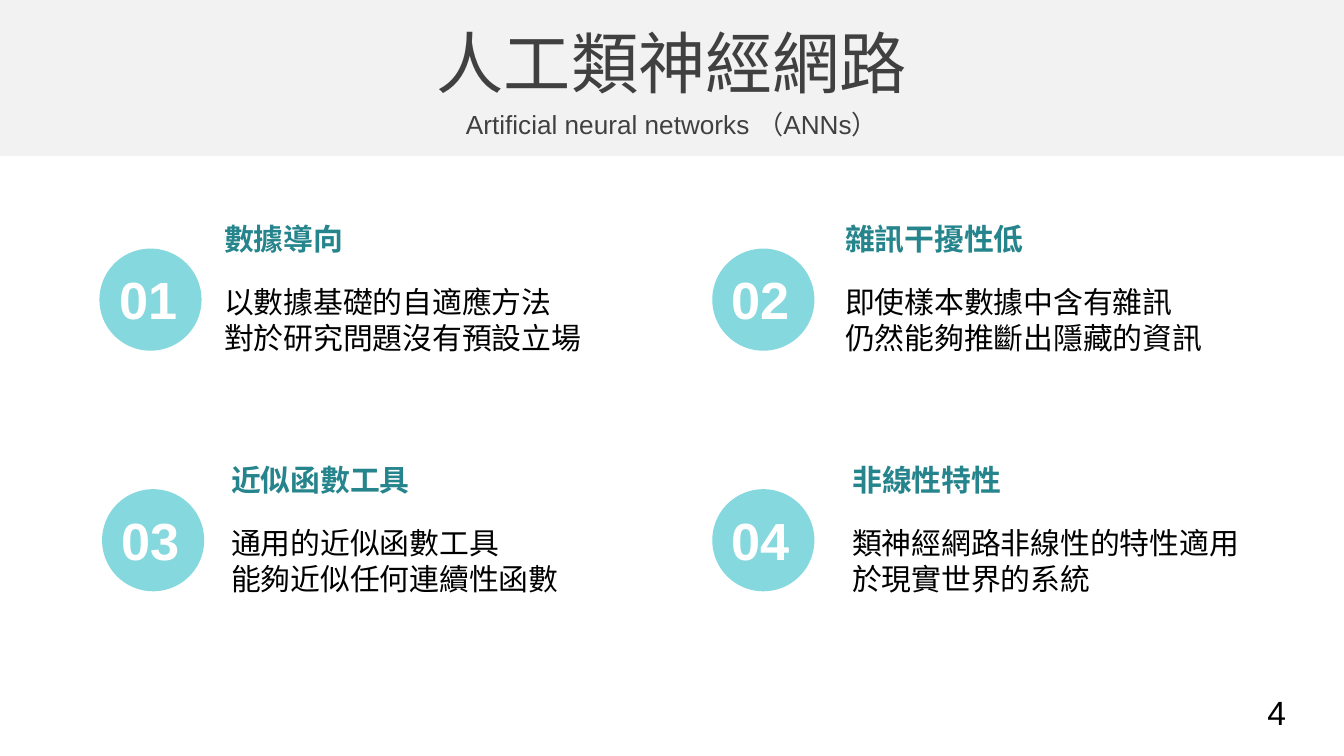
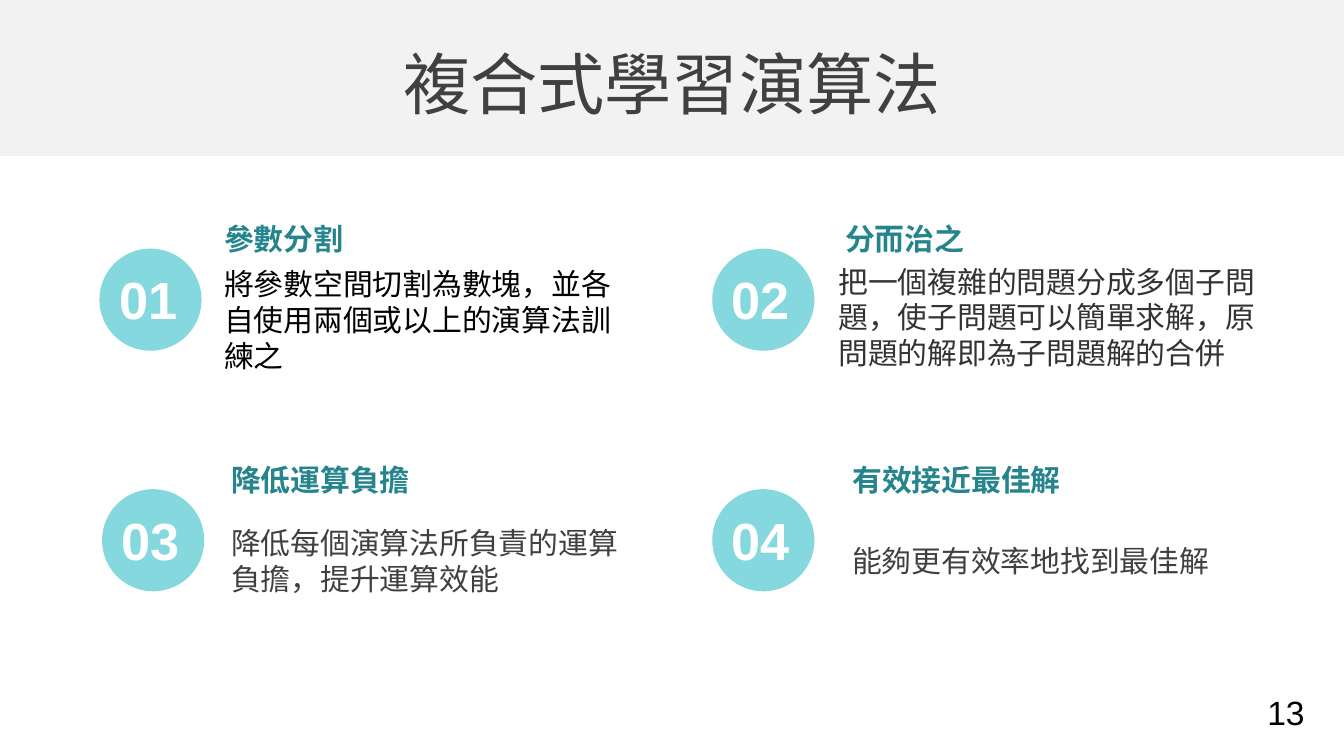
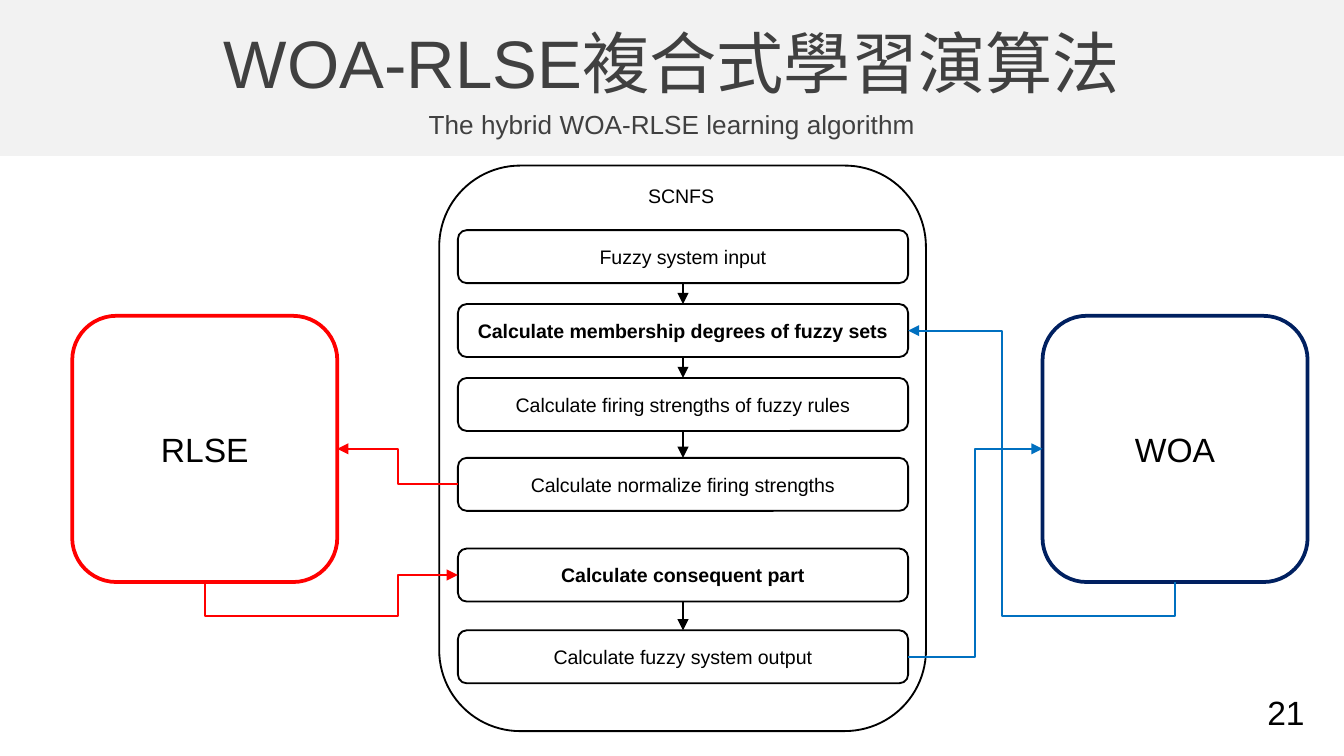
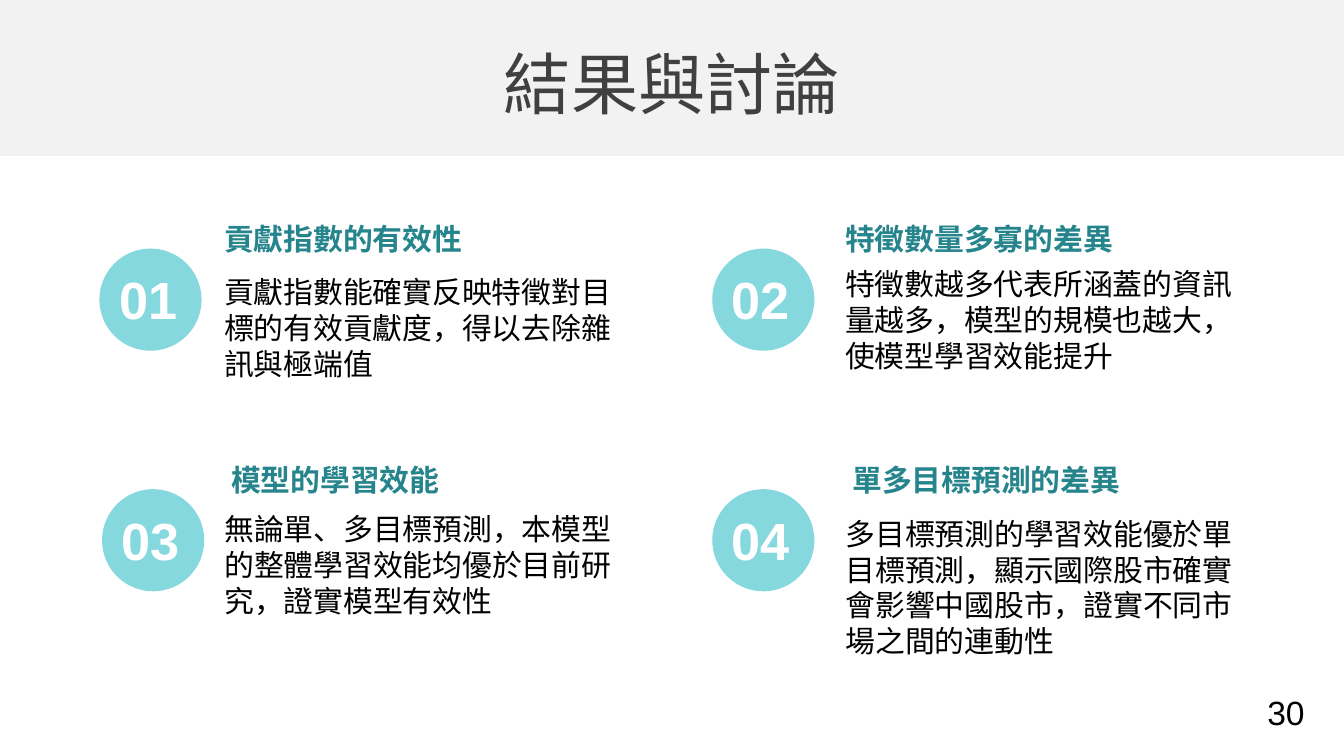
from dataclasses import dataclass

from lxml.etree import SubElement
from pptx import Presentation
from pptx.dml.color import RGBColor
from pptx.enum.shapes import MSO_CONNECTOR, MSO_SHAPE
from pptx.enum.text import MSO_ANCHOR, MSO_AUTO_SIZE, PP_ALIGN
from pptx.oxml.ns import qn
from pptx.util import Pt

SLIDE_WIDTH, SLIDE_HEIGHT = 720, 405
BAND_HEIGHT = 83.5
LATIN_FONT, CJK_FONT = "Arial", "Noto Sans CJK SC"
BLACK, WHITE, GRAY, DARK_GRAY = "000000", "FFFFFF", "404040", "333333"
BAND_GRAY, AQUA, TEAL = "F2F2F2", "85D8DE", "26858C"
RED, NAVY, BLUE = "FF0000", "002060", "0070C0"

CIRCLE_SIZE = 54.7
# Left and top of each circle, then the left edge of its text
ITEM_PLACES = [(53.3, 133.2, 113), (381.6, 133.2, 445.7),
               (54.7, 262.1, 116.8), (381.6, 262.1, 449.5)]
TOP, LEFT, BOTTOM, RIGHT = range(4)  # connection sites of a box


@dataclass
class Item:
    heading: str
    body: str
    lines: int = 2
    color: str = BLACK
    shift_x: float = 0
    shift_y: float = 0
    width: float = 230.4


def color_of(hex_string):
    return RGBColor.from_string(hex_string)


def set_format(target, values):
    for name, value in values.items():
        setattr(target, name, value)


def style_font(font, text, size, color, bold):
    is_cjk = text[:1] >= "\u2e80"
    set_format(font, {"name": CJK_FONT if is_cjk else LATIN_FONT,
                      "size": Pt(size), "bold": bold})
    font.color.rgb = color_of(color)
    SubElement(font._rPr, qn("a:ea"), typeface=CJK_FONT)


def write_text(shape, text, size, color=BLACK, bold=False, align=PP_ALIGN.LEFT,
               second_run="", **frame_format):
    frame = shape.text_frame
    frame.text = text
    set_format(frame, {"word_wrap": True, "vertical_anchor": MSO_ANCHOR.MIDDLE,
                       **frame_format})
    if second_run:
        frame.paragraphs[0].add_run().text = second_run
    for paragraph in frame.paragraphs:
        paragraph.alignment = align
        style_font(paragraph.font, paragraph.text, size, color, bold)
        for run in paragraph.runs:
            style_font(run.font, run.text, size, color, bold)


def add_text(shapes, box, text, size, **text_format):
    write_text(shapes.add_textbox(*map(Pt, box)), text, size, **text_format)


def add_box(slide, kind, box, fill=None, line=None, line_width=1):
    shape = slide.shapes.add_shape(kind, *map(Pt, box))
    shape.shadow.inherit = False
    if fill:
        shape.fill.solid()
        shape.fill.fore_color.rgb = color_of(fill)
    else:
        shape.fill.background()
    if line:
        shape.line.color.rgb = color_of(line)
        shape.line.width = Pt(line_width)
    else:
        shape.line.fill.background()
    return shape


def add_arrow(slide, kind, start, start_site, end, end_site, color=BLACK):
    arrow = slide.shapes.add_connector(kind, 0, 0, 0, 0)
    arrow.begin_connect(start, start_site)
    arrow.end_connect(end, end_site)
    arrow.line.color.rgb = color_of(color)
    arrow.line.width = Pt(1)
    properties = arrow._element.spPr
    SubElement(properties.find(qn("a:ln")), qn("a:tailEnd"), type="triangle")
    SubElement(properties, qn("a:effectLst"))
    return arrow


def route_below(arrow, drop, lane):
    """Lead the arrow down by drop, along to x = lane, up, and into its end."""
    begin_x, begin_y = arrow.begin_x, arrow.begin_y
    end_x, end_y = arrow.end_x, arrow.end_y
    rise, run = begin_y - end_y, abs(end_x - begin_x)
    set_format(arrow, {"left": (begin_x + end_x - rise) // 2,
                       "top": (begin_y + end_y - run) // 2,
                       "width": rise, "height": run})
    properties = arrow._element.spPr
    frame = properties.find(qn("a:xfrm"))
    frame.set("rot", str(90 * 60000))
    frame.set("flipH", "1")
    frame.set("flipV", "1" if end_x > begin_x else "0")
    geometry = properties.find(qn("a:prstGeom"))
    geometry.set("prst", "bentConnector4")
    guides = geometry.find(qn("a:avLst"))
    ratios = [-Pt(drop) / rise, abs(Pt(lane) - begin_x) / run]
    for number, ratio in enumerate(ratios, 1):
        SubElement(guides, qn("a:gd"), name=f"adj{number}",
                   fmla=f"val {round(ratio * 100000)}")


def start_slide(presentation, number, title, subtitle="", title_end=""):
    """Add a slide with its page number, title band, title and subtitle."""
    slide = presentation.slides.add_slide(presentation.slide_layouts[6])
    add_text(slide.shapes, (671.8, 367.2, 36.7, 28.8), number, 18,
             word_wrap=False, vertical_anchor=MSO_ANCHOR.TOP)
    add_box(slide, MSO_SHAPE.RECTANGLE, (0, 0, SLIDE_WIDTH, BAND_HEIGHT), BAND_GRAY)
    centered = {"color": GRAY, "align": PP_ALIGN.CENTER}
    title_top = 10.1 if subtitle else 21.6
    add_text(slide.shapes, (0, title_top, SLIDE_WIDTH, 45.4), title, 36,
             second_run=title_end, **centered)
    if subtitle:
        add_text(slide.shapes, (0, 55.4, SLIDE_WIDTH, 22.3), subtitle, 14, **centered)
    return slide


def add_item(slide, number, place, item):
    left, top, text_left = place
    add_box(slide, MSO_SHAPE.OVAL, (left, top, CIRCLE_SIZE, CIRCLE_SIZE), AQUA)
    grow = {"auto_size": MSO_AUTO_SIZE.SHAPE_TO_FIT_TEXT}
    add_text(slide.shapes, (left + 3.4, top + 10.1, 47.5, 33.8), f"{number:02}", 28,
             color=WHITE, bold=True, margin_top=0, margin_bottom=0, **grow)
    group = slide.shapes.add_group_shape()
    height = 26.6 + 19.4 * (item.lines - 1)
    body_top = top + 38 + item.shift_y - height / 2
    add_text(group.shapes, (text_left + item.shift_x, body_top, item.width, height),
             item.body, 16, color=item.color, **grow)
    add_text(group.shapes, (text_left, top - 18.7, 231, 26.6), item.heading, 16,
             color=TEAL, bold=True, **grow)


def add_items_slide(presentation, items, *header):
    slide = start_slide(presentation, *header)
    for number, (place, item) in enumerate(zip(ITEM_PLACES, items), 1):
        add_item(slide, number, place, item)


def add_steps(slide, box):
    """Draw the SCNFS frame with its chain of steps and return the step boxes."""
    left, top, width, height = box
    add_box(slide, MSO_SHAPE.FLOWCHART_ALTERNATE_PROCESS, box, line=BLACK)
    steps = []
    for offset, label, bold in [
            (34.6, "Fuzzy system input", False),
            (74.2, "Calculate membership degrees of fuzzy sets", True),
            (113.8, "Calculate firing strengths of fuzzy rules", False),
            (156.6, "Calculate normalize firing strengths", False),
            (205.2, "Calculate consequent part", True),
            (249, "Calculate fuzzy system output", False)]:
        step = add_box(slide, MSO_SHAPE.ROUNDED_RECTANGLE,
                       (left + 10, top + offset, 241.2, 28.4), line=BLACK)
        write_text(step, label, 10.5, bold=bold, align=PP_ALIGN.CENTER)
        steps.append(step)
    add_text(slide.shapes, (left + 44.6, top - 5, 170, 41.8), "SCNFS", 10.5,
             align=PP_ALIGN.CENTER)
    for first in (0, 1, 2, 4):
        add_arrow(slide, MSO_CONNECTOR.STRAIGHT, steps[first], BOTTOM,
                  steps[first + 1], TOP)
    return steps


def add_method(slide, left, label, color):
    method = add_box(slide, MSO_SHAPE.ROUNDED_RECTANGLE, (left, 169.2, 142, 142.6),
                     line=color, line_width=2)
    write_text(method, label, 18, align=PP_ALIGN.CENTER)
    return method


def add_algorithm_slide(presentation):
    slide = start_slide(presentation, "21", "WOA-RLSE",
                        "The hybrid WOA-RLSE learning algorithm", "複合式學習演算法")
    steps = add_steps(slide, (235.3, 88.7, 260.8, 303))
    rlse = add_method(slide, 38.7, "RLSE", RED)
    woa = add_method(slide, 558.5, "WOA", NAVY)
    elbow = MSO_CONNECTOR.ELBOW
    add_arrow(slide, elbow, steps[3], LEFT, rlse, RIGHT, RED)
    route_below(add_arrow(slide, elbow, rlse, BOTTOM, steps[4], LEFT, RED), 18, 213)
    add_arrow(slide, elbow, steps[5], RIGHT, woa, LEFT, BLUE)
    route_below(add_arrow(slide, elbow, woa, BOTTOM, steps[1], RIGHT, BLUE), 18, 537)


NETWORK_ITEMS = [
    Item("數據導向", "以數據基礎的自適應方法\v對於研究問題沒有預設立場"),
    Item("雜訊干擾性低", "即使樣本數據中含有雜訊\v仍然能夠推斷出隱藏的資訊"),
    Item("近似函數工具", "通用的近似函數工具\n能夠近似任何連續性函數"),
    Item("非線性特性", "類神經網路非線性的特性適用於現實世界的系統"),
]
HYBRID_ITEMS = [
    Item("參數分割", "將參數空間切割為數塊，並各自使用兩個或以上的演算法訓練之", 3),
    Item("分而治之",
         "把一個複雜的問題分成多個子問題，使子問題可以簡單求解，原問題的解即為子問題解的合併",
         3, DARK_GRAY, -3.6, -1.4, 247),
    Item("降低運算負擔", "降低每個演算法所負責的運算負擔，提升運算效能", color=GRAY),
    Item("有效接近最佳解", "能夠更有效率地找到最佳解", 1, GRAY),
]
RESULT_ITEMS = [
    Item("貢獻指數的有效性",
         "貢獻指數能確實反映特徵對目標的有效貢獻度，得以去除雜訊與極端值", 3, shift_y=4.3),
    Item("特徵數量多寡的差異",
         "特徵數越多代表所涵蓋的資訊量越多，模型的規模也越大，使模型學習效能提升", 3),
    Item("模型的學習效能",
         "無論單、多目標預測，本模型的整體學習效能均優於目前研究，證實模型有效性",
         3, shift_x=-3.6, shift_y=2.5),
    Item("單多目標預測的差異",
         "多目標預測的學習效能優於單目標預測，顯示國際股市確實會影響中國股市，證實不同市場之間的連動性",
         4, shift_x=-3.6, shift_y=14.4),
]


def main():
    presentation = Presentation()
    set_format(presentation, {"slide_width": Pt(SLIDE_WIDTH),
                              "slide_height": Pt(SLIDE_HEIGHT)})
    add_items_slide(presentation, NETWORK_ITEMS, "4", "人工類神經網路",
                    "Artificial neural networks （ANNs）")
    add_items_slide(presentation, HYBRID_ITEMS, "13", "複合式學習演算法")
    add_algorithm_slide(presentation)
    add_items_slide(presentation, RESULT_ITEMS, "30", "結果與討論")
    presentation.save("out.pptx")


if __name__ == "__main__":
    main()
